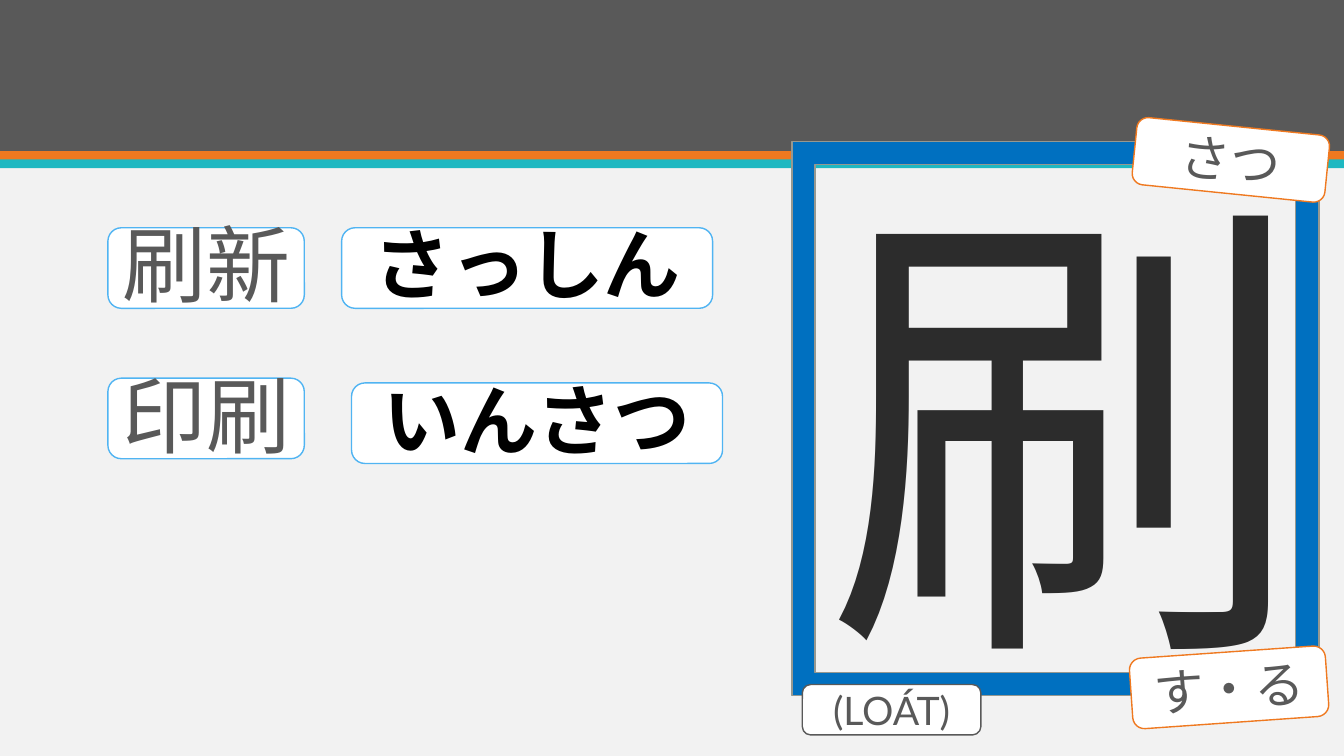
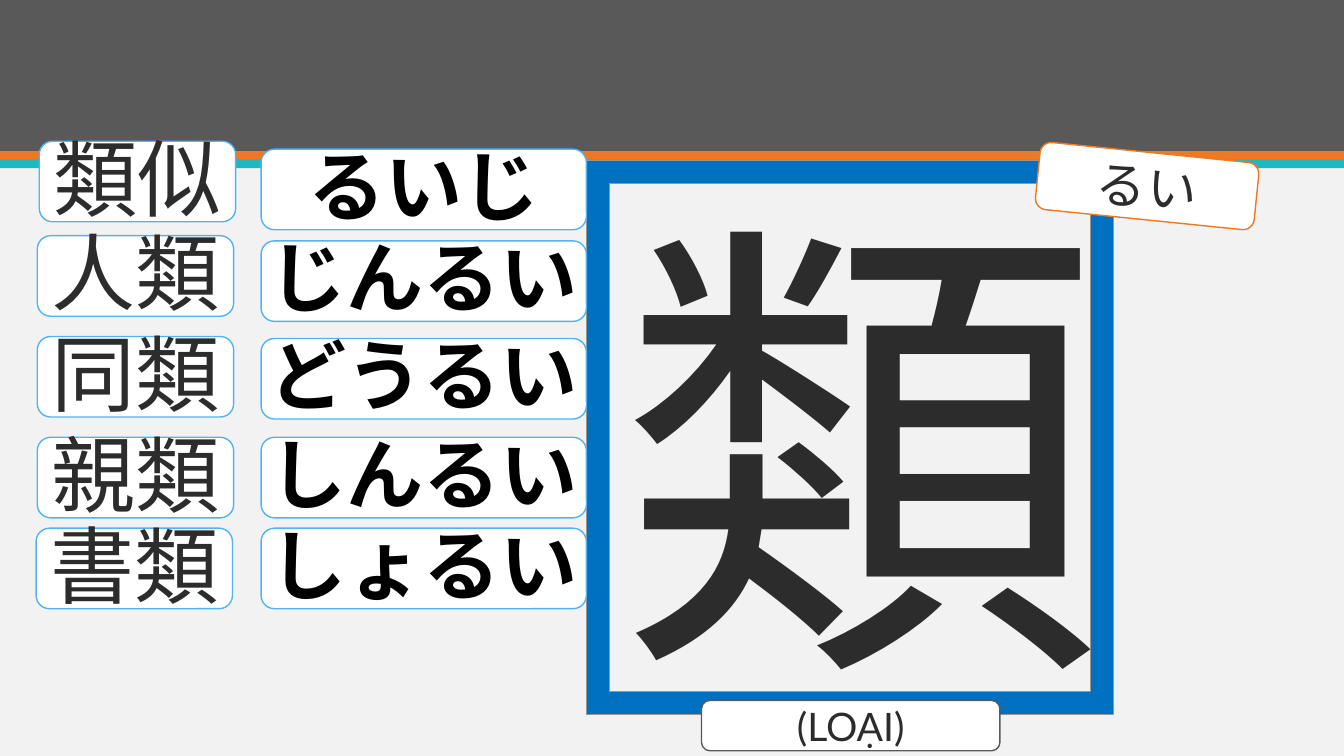
from dataclasses import dataclass

from lxml.etree import SubElement
from pptx import Presentation
from pptx.dml.color import RGBColor
from pptx.enum.shapes import MSO_SHAPE
from pptx.enum.text import MSO_ANCHOR, PP_ALIGN
from pptx.oxml.ns import qn
from pptx.util import Cm, Pt


@dataclass(frozen=True)
class Theme:
    font: str = "Lato"
    paper: str = "F2F2F2"
    white: str = "FFFFFF"
    black: str = "000000"
    ink: str = "2C2C2C"
    grey: str = "595959"
    orange: str = "EF7920"
    teal: str = "1EB8C1"
    blue: str = "0070C0"
    sky: str = "50B4F2"
    frame_line: str = "969890"
    kanji_size: int = 344
    word_size: int = 60
    reading_size: int = 55
    tag_size: int = 36
    meaning_size: int = 28


T = Theme()
SLIDE_W, SLIDE_H = 33.87, 19.05
FRAME_W, FRAME_H = 13.28, 13.97
WORD_W, BOX_H, MEANING_H = 4.95, 2.03, 1.27

# Content, with lengths in centimetres
# tags: text, left, top, width, height, rotation
# words: word, (left, top), reading, (left, top)
CARDS = [
    dict(
        kanji="刷", frame=(19.96, 3.56), text_color=T.grey,
        meaning=("(LOÁT)", 20.22, 17.25, 4.5),
        tags=[("さつ", 28.58, 3.18, 4.88, 1.7, 5.8),
              ("す・る", 28.5, 16.43, 4.95, 1.78, -4)],
        reading_w=9.35,
        words=[("刷新", (2.72, 5.74), "さっしん", (8.61, 5.74)),
               ("印刷", (2.72, 9.53), "いんさつ", (8.86, 9.65))],
    ),
    dict(
        kanji="類", frame=(14.78, 4.04), text_color=T.ink,
        meaning=("(LOẠI)", 17.68, 17.65, 7.52),
        tags=[("るい", 26.14, 3.84, 5.54, 1.7, 5.8)],
        reading_w=8.2,
        words=[("類似", (0.99, 3.56), "るいじ", (6.58, 3.76)),
               ("人類", (0.94, 5.94), "じんるい", (6.58, 6.07)),
               ("同類", (0.94, 8.48), "どうるい", (6.58, 8.53)),
               ("親類", (0.94, 11.02), "しんるい", (6.58, 11.02)),
               ("書類", (0.91, 13.31), "しょるい", (6.58, 13.31))],
    ),
]

# Bands: top, height, colour
BANDS = [(0, 3.81, T.grey), (3.81, 0.22, T.orange), (4.02, 0.22, T.teal)]


def rgb(color):
    return RGBColor.from_string(color)


def add_box(s, kind, box, fill, line=None):
    sp = s.shapes.add_shape(kind, *map(Cm, box))
    sp.shadow.inherit = False
    sp.fill.solid()
    sp.fill.fore_color.rgb = rgb(fill)
    if line:
        sp.line.color.rgb = rgb(line)
        sp.line.width = Pt(1)
    else:
        sp.line.fill.background()
    return sp


def set_text(sp, text, size, color, bold=False):
    tf = sp.text_frame
    tf.word_wrap = True
    tf.vertical_anchor = MSO_ANCHOR.MIDDLE
    p = tf.paragraphs[0]
    p.text = text
    p.alignment = PP_ALIGN.CENTER
    p.font.name = T.font
    p.font.size = Pt(size)
    p.font.bold = bold
    p.font.color.rgb = rgb(color)
    # East Asian typeface
    SubElement(p.font._element, qn("a:ea")).set("typeface", T.font)


def add_label(s, text, box, line, size, color, bold=False):
    sp = add_box(s, MSO_SHAPE.ROUNDED_RECTANGLE, box, T.white, line)
    set_text(sp, text, size, color, bold)
    return sp


def add_word_box(s, text, at, width, size, color, bold=False):
    sp = add_label(s, text, (*at, width, BOX_H), T.sky, size, color, bold)
    tf = sp.text_frame
    tf.margin_left = tf.margin_top = tf.margin_right = 0
    tf.margin_bottom = Cm(0.25)


def style_layout(layout, s):
    """Give the layout its background and bands."""
    layout.background.fill.solid()
    layout.background.fill.fore_color.rgb = rgb(T.paper)
    for ph in list(layout.placeholders):
        ph.element.getparent().remove(ph.element)
    bands = [add_box(s, MSO_SHAPE.RECTANGLE, (0, top, SLIDE_W, height), color)
             for top, height, color in BANDS]
    for band in bands:
        layout.shapes.element.append(band.element)


def add_card(s, card):
    color = card["text_color"]

    # Framed kanji
    frame = add_box(s, MSO_SHAPE.FRAME, (*card["frame"], FRAME_W, FRAME_H),
                    T.blue, T.frame_line)
    frame.adjustments[0] = 0.044
    set_text(frame, card["kanji"], T.kanji_size, T.ink)

    # Meaning and tilted readings
    text, *box = card["meaning"]
    add_label(s, text, (*box, MEANING_H), T.grey, T.meaning_size, color)
    for text, *box, angle in card["tags"]:
        tag = add_label(s, text, box, T.orange, T.tag_size, color)
        tag.rotation = angle

    # Example words
    for word, word_at, reading, reading_at in card["words"]:
        add_word_box(s, word, word_at, WORD_W, T.word_size, color)
        add_word_box(s, reading, reading_at, card["reading_w"],
                     T.reading_size, T.black, bold=True)


def main():
    prs = Presentation()
    prs.slide_width, prs.slide_height = Cm(SLIDE_W), Cm(SLIDE_H)
    layout = prs.slide_layouts[6]
    slides = [prs.slides.add_slide(layout) for _ in CARDS]
    style_layout(layout, slides[0])
    for s, card in zip(slides, CARDS):
        add_card(s, card)
    prs.save("out.pptx")


if __name__ == "__main__":
    main()
